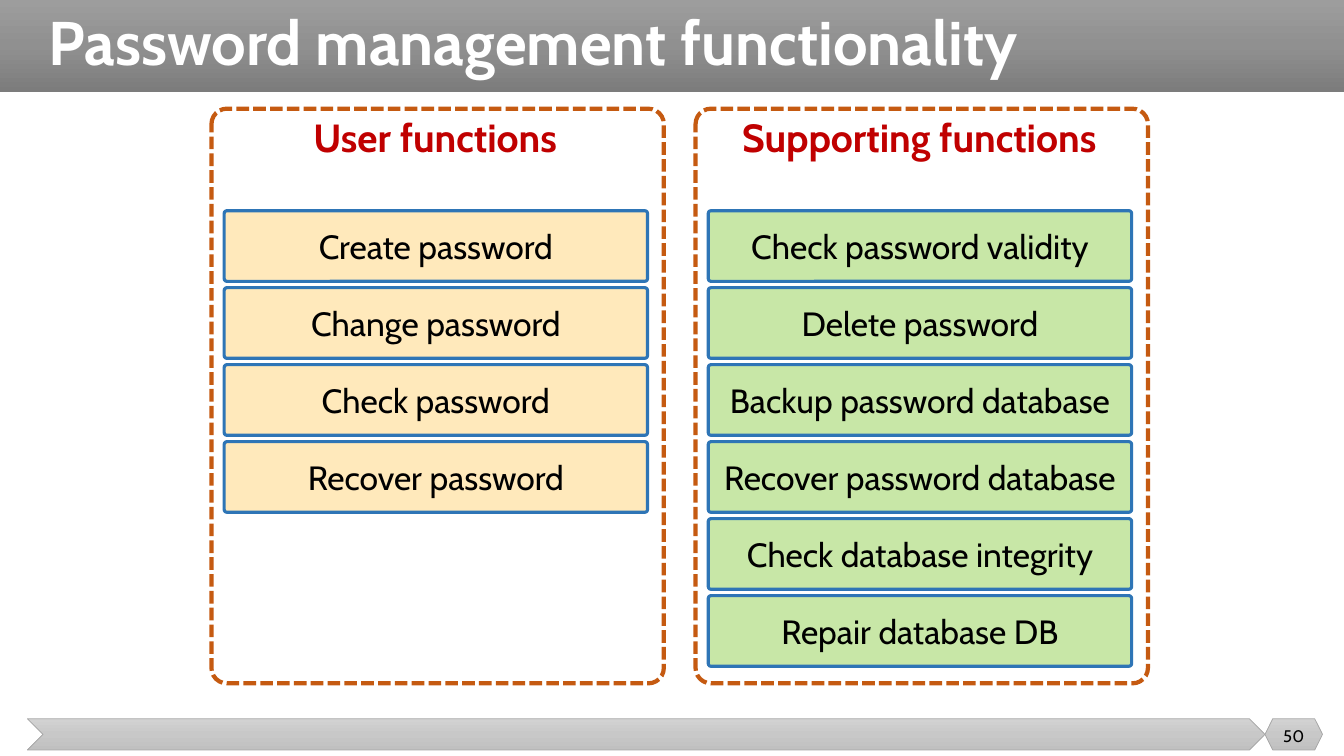
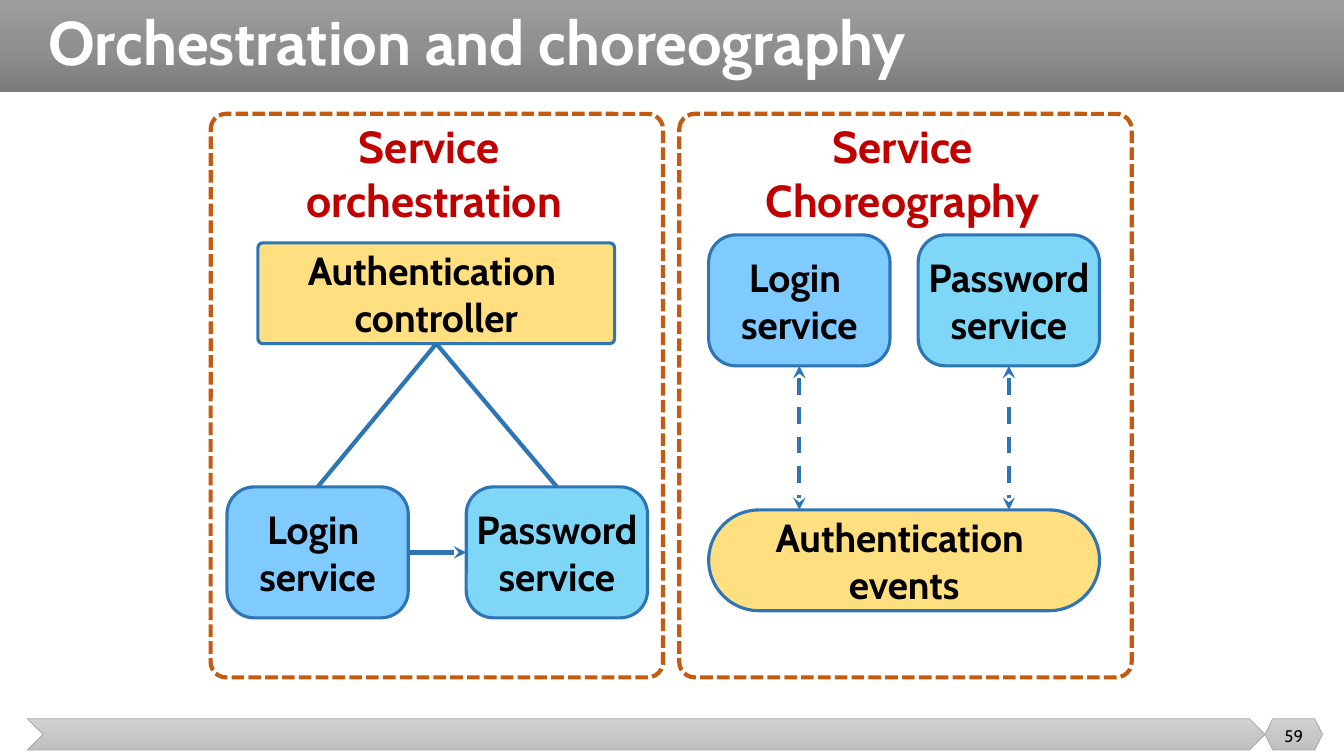
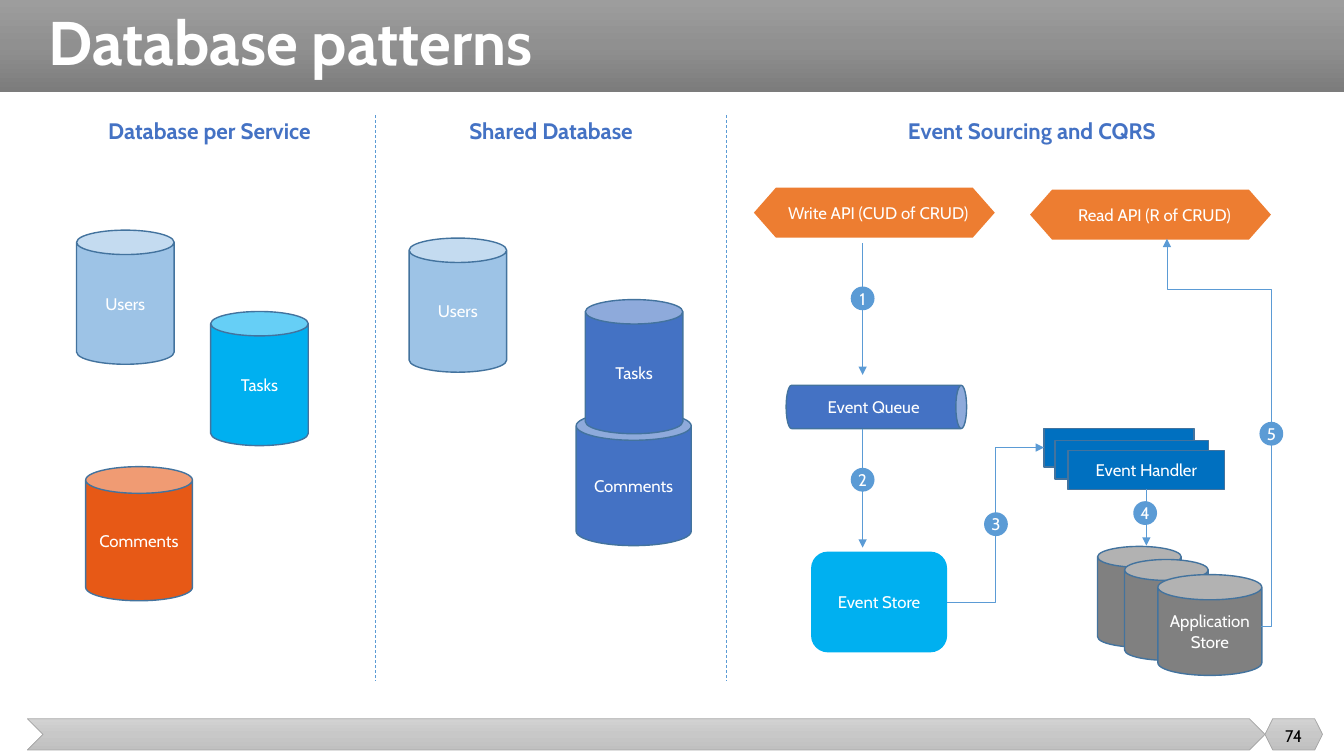
"""Build three slides on password services and database patterns."""
from copy import deepcopy
from dataclasses import dataclass

from lxml import etree
from pptx import Presentation
from pptx import util as u
from pptx.dml.color import RGBColor
from pptx.enum import dml, shapes, text
from pptx.oxml.ns import qn

SHAPE = shapes.MSO_SHAPE
LINE = shapes.MSO_CONNECTOR.STRAIGHT
ELBOW = shapes.MSO_CONNECTOR.ELBOW
TOP, LEFT, BOTTOM, RIGHT = range(4)


@dataclass(frozen=True)
class Theme:
    """Colours, font and type sizes shared by all slides."""
    font: str = "Cabin"
    white: str = "FFFFFF"
    black: str = "000000"
    band: tuple = ("9D9D9D", "909090", "7C7C7C")
    footer: tuple = ("D2D2D2", "C8C8C8", "C0C0C0")
    footer_line: str = "A5A5A5"
    panel_line: str = "C55A11"
    panel_heading: str = "C00000"
    box_line: str = "2E75B6"
    user: str = "FFD579"
    support: str = "92D050"
    login: str = "0096FF"
    password: str = "00B0F0"
    authentication: str = "FFC000"
    heading: str = "4472C4"
    flow: str = "5B9BD5"
    outline: str = "43739E"
    pale_blue: str = "9DC3E6"
    cyan: str = "00B0F0"
    red: str = "E75916"
    blue: str = "4472C4"
    api: str = "ED7D31"
    handler: str = "0070C0"
    grey: str = "808080"
    title_size: int = 44
    large_heading_size: int = 32
    panel_size: int = 28
    row_size: int = 24
    heading_size: int = 16
    label_size: int = 12


@dataclass(frozen=True)
class Box:
    """A rectangle in centimetres."""
    left: float
    top: float
    width: float
    height: float

    def inside(self, left, top, width, height):
        """Return a box placed relative to this one."""
        return Box(self.left + left, self.top + top, width, height)

    def point(self, left, top):
        """Return a point placed relative to this box."""
        return self.left + left, self.top + top

    def lengths(self):
        """Return the four measures as lengths."""
        return [u.Cm(value) for value in (self.left, self.top, self.width, self.height)]


THEME = Theme()
PAGE = Box(0, 0, 33.87, 19.05)
TITLE = Box(0.97, 0, 32.36, 2.31)


def rgb(colour):
    """Return a colour object for a hex string."""
    return RGBColor.from_string(colour)


def write(shape, words, size, colour, bold=False, align=text.PP_ALIGN.CENTER,
          spacing=None, insets=None, wrap=True):
    """Set the text of a shape and format its runs."""
    frame = shape.text_frame
    frame.text = words
    frame.word_wrap = wrap
    if insets is not None:
        frame.margin_left, frame.margin_top, frame.margin_right, frame.margin_bottom = (
            u.Cm(inset) for inset in insets)
    for paragraph in frame.paragraphs:
        paragraph.alignment = align
        paragraph.line_spacing = spacing
        for run in paragraph.runs:
            run.font.name = THEME.font
            run.font.size = u.Pt(size)
            run.font.bold = bold
            run.font.color.rgb = rgb(colour)


def add_text(slide, box, words, size, colour, **options):
    """Add a text box."""
    shape = slide.shapes.add_textbox(*box.lengths())
    write(shape, words, size, colour, **options)
    return shape


def add_shape(slide, kind, box, fill=None, line=None, width=1, corner=None):
    """Add a preset shape with a plain fill and line."""
    shape = slide.shapes.add_shape(kind, *box.lengths())
    shape.shadow.inherit = False
    if corner is not None:
        shape.adjustments[0] = corner
    if fill:
        shape.fill.solid()
        shape.fill.fore_color.rgb = rgb(fill)
    else:
        shape.fill.background()
    if line:
        shape.line.color.rgb = rgb(line)
        shape.line.width = u.Pt(width)
    else:
        shape.line.fill.background()
    return shape


def add_connector(slide, kind, begin, end, colour, width, dash=None, head=None, tail=None):
    """Add a line between two points, with optional arrowheads."""
    connector = slide.shapes.add_connector(kind, *(u.Cm(value) for value in begin + end))
    connector.line.color.rgb = rgb(colour)
    connector.line.width = u.Pt(width)
    if dash:
        connector.line.dash_style = dash
    properties = connector._element.spPr
    for tag, arrow in (("a:headEnd", head), ("a:tailEnd", tail)):
        if arrow:
            etree.SubElement(properties.find(qn("a:ln")), qn(tag), type=arrow)
    etree.SubElement(properties, qn("a:effectLst"))
    return connector


def shade(shape, colours):
    """Fill a shape with a vertical three-colour gradient."""
    shape.fill.gradient()
    shape.fill.gradient_angle = 270
    first = shape.fill._fill._gradFill.find(qn("a:gsLst"))[0]
    first.addnext(deepcopy(first))
    for stop, position, colour in zip(shape.fill.gradient_stops, (0, 0.5, 1), colours):
        stop.position = position
        stop.color.rgb = rgb(colour)


def build_layout(layout, slide):
    """Move the title band and footer bar, drawn on a slide, to its layout."""
    parts = (
        (SHAPE.RECTANGLE, Box(0, 0, PAGE.width, TITLE.height), THEME.band, None),
        (SHAPE.CHEVRON, Box(0.69, 18.11, 31.19, 0.79), THEME.footer, THEME.footer_line),
        (SHAPE.HEXAGON, Box(31.88, 18.11, 1.45, 0.79), THEME.footer, THEME.footer_line),
    )
    for index, (kind, box, colours, line) in enumerate(parts):
        shape = add_shape(slide, kind, box, line=line, width=0.5)
        shade(shape, colours)
        layout.shapes._spTree.insert(2 + index, shape._element)


def add_slide(presentation, layout, title, number):
    """Add a slide with its title and page number."""
    slide = presentation.slides.add_slide(layout)
    holder = slide.shapes.title
    holder.left, holder.top, holder.width, holder.height = TITLE.lengths()
    write(holder, title, THEME.title_size, THEME.white, bold=True,
          align=text.PP_ALIGN.LEFT, spacing=0.9)
    holder.text_frame.vertical_anchor = text.MSO_ANCHOR.MIDDLE
    holder.text_frame.auto_size = text.MSO_AUTO_SIZE.NONE
    page = add_text(slide, Box(31.88, 18.03, 1.45, 1.02), number,
                    THEME.label_size, THEME.black)
    page.text_frame.vertical_anchor = text.MSO_ANCHOR.MIDDLE
    return slide


def add_panel(slide, box, heading, size):
    """Add a dashed panel with a heading at its top."""
    panel = add_shape(slide, SHAPE.ROUNDED_RECTANGLE, box, line=THEME.panel_line,
                      width=3, corner=0.034)
    panel.line.dash_style = dml.MSO_LINE.SQUARE_DOT
    add_text(slide, box.inside(0.3, 0, 10.67, 1.45), heading, size,
             THEME.panel_heading, bold=True)


def add_block(slide, box, words, fill, corner, size=THEME.panel_size, bold=True):
    """Add a half-transparent rounded block with a label."""
    block = add_shape(slide, SHAPE.ROUNDED_RECTANGLE, box, fill, THEME.box_line, 2.25, corner)
    colour = block._element.spPr.find(qn("a:solidFill"))[0]
    etree.SubElement(colour, qn("a:alpha"), val="50000")
    write(block, words, size, THEME.black, bold=bold, insets=(0, 0, 0, 0), wrap=False)
    return block


def add_functions(slide, box, heading, functions, fill):
    """Add a panel with a stack of functions."""
    add_panel(slide, box, heading, THEME.panel_size)
    for index, words in enumerate(functions):
        add_block(slide, box.inside(0.32, 2.57 + 1.94 * index, 10.67, 1.78), words, fill,
                  corner=0.039, size=THEME.row_size, bold=False)


def add_services(slide, box, gap):
    """Add the login and password services side by side."""
    services = (("Login \vservice", THEME.login), ("Password\nservice", THEME.password))
    width = (box.width - gap) / 2
    return [add_block(slide, box.inside(index * (width + gap), 0, width, box.height),
                      words, fill, corner=0.209)
            for index, (words, fill) in enumerate(services)]


def add_orchestration(slide, box):
    """Add the panel in which a controller drives both services."""
    add_panel(slide, box, "Service \vorchestration", THEME.large_heading_size)
    login, password = add_services(slide, box.inside(0.41, 9.4, 10.6, 3.3), gap=1.46)
    controller = add_block(slide, box.inside(1.19, 3.25, 8.99, 2.54),
                           "Authentication \vcontroller", THEME.authentication, corner=0.049)
    links = ((login, RIGHT, password, LEFT, "stealth"),
             (login, TOP, controller, BOTTOM, None),
             (password, TOP, controller, BOTTOM, None))
    for source, start, target, finish, tail in links:
        connector = add_connector(slide, LINE, (0, 0), (1, 1), THEME.box_line, 3, tail=tail)
        connector.begin_connect(source, start)
        connector.end_connect(target, finish)


def add_choreography(slide, box):
    """Add the panel in which both services exchange events."""
    add_panel(slide, box, "Service Choreography", THEME.large_heading_size)
    services = add_services(slide, box.inside(0.74, 3.05, 9.85, 3.3), gap=0.71)
    add_block(slide, box.inside(0.74, 9.98, 9.85, 2.54), "Authentication \vevents",
              THEME.authentication, corner=0.5)
    for service in services:
        middle = u.Length(service.left + service.width // 2).cm
        connector = add_connector(slide, LINE, (middle, box.top + 6.35),
                                  (middle, box.top + 9.98), THEME.box_line, 3,
                                  dml.MSO_LINE.DASH, "stealth", "stealth")
        connector.begin_connect(service, BOTTOM)


def add_label_shape(slide, kind, box, fill, words="", line=None, **options):
    """Add a shape with a small white label."""
    shape = add_shape(slide, kind, box, fill, line)
    if words:
        write(shape, words, THEME.label_size, THEME.white, **options)
    return shape


def add_heading(slide, box, words):
    """Add the heading of a database pattern."""
    add_text(slide, box.inside(0, 0, box.width, 1.17), words, THEME.heading_size,
             THEME.heading, bold=True, spacing=0.9)


def add_databases(slide, box, heading, databases):
    """Add a pattern made of labelled databases."""
    add_heading(slide, box, heading)
    for words, left, top, width, fill in databases:
        add_label_shape(slide, SHAPE.CAN, box.inside(left, top, width, 3.38), fill, words,
                        THEME.outline)


def add_flow(slide, box, kind, begin, end):
    """Add a thin arrow between two points of a box."""
    return add_connector(slide, kind, box.point(*begin), box.point(*end), THEME.flow, 0.5,
                         tail="triangle")


def add_event_sourcing(slide, box):
    """Add the event sourcing flow with its five numbered steps."""
    add_heading(slide, box, "Event Sourcing and CQRS")
    for words, left, top in (("Write API (CUD of CRUD)", 0.69, 1.83),
                             ("Read API (R of CRUD)", 7.65, 1.88)):
        add_label_shape(slide, SHAPE.HEXAGON, box.inside(left, top, 6.07, 1.26), THEME.api,
                        words, insets=(0.2, 0, 0, 0), wrap=False).adjustments[0] = 0.44

    queue = add_label_shape(slide, SHAPE.CAN, box.inside(3.23, 5.08, 1.09, 4.55), THEME.blue,
                            "Event Queue", THEME.outline)
    queue.rotation = 90
    queue.text_frame._txBody.bodyPr.set("vert", "vert270")
    add_label_shape(slide, SHAPE.ROUNDED_RECTANGLE, box.inside(2.13, 11, 3.43, 2.54),
                    THEME.cyan, "Event Store")

    for words, left, top, width in (("", 9.35, 10.87, 2.11), ("", 10.03, 11.2, 2.11),
                                    ("Application Store", 10.87, 11.58, 2.62)):
        add_label_shape(slide, SHAPE.CAN, box.inside(left, top, width, 2.54), THEME.grey,
                        words, THEME.outline)
    for words, left, top, width in (("", 8, 7.9, 3.78), ("", 8.28, 8.2, 3.86),
                                    ("Event Handler", 8.61, 8.46, 3.94)):
        handler = add_label_shape(slide, SHAPE.RECTANGLE, box.inside(left, top, width, 0.97),
                                  THEME.handler, words, THEME.outline)

    add_flow(slide, box, LINE, (3.43, 3.23), (3.43, 6.55))
    add_flow(slide, box, LINE, (3.43, 7.9), (3.43, 10.9))
    add_flow(slide, box, ELBOW, (5.56, 12.27), (8, 8.38))
    add_flow(slide, box, LINE, (10.58, 9.43), (10.58, 10.85)).begin_connect(handler, BOTTOM)
    read = add_flow(slide, box, ELBOW, (13.46, 12.88), (11.1, 3.12))
    geometry = read._element.spPr.find(qn("a:prstGeom"))
    geometry.set("prst", "bentConnector4")
    for name, value in (("adj1", -11600), ("adj2", 87000)):
        etree.SubElement(geometry.find(qn("a:avLst")), qn("a:gd"), name=name,
                         fmla=f"val {value}")

    steps = ((3.43, 4.62), (3.43, 9.19), (6.79, 10.31), (10.55, 10.03), (13.73, 8.03))
    for number, (x, y) in enumerate(steps, 1):
        add_label_shape(slide, SHAPE.OVAL, box.inside(x - 0.3, y - 0.3, 0.6, 0.6), THEME.flow,
                        str(number), insets=(0, 0, 0, 0), wrap=False)


def fill_password_slide(slide):
    """Place the two function panels."""
    add_functions(slide, Box(5.33, 2.74, 11.4, 14.48), "User functions",
                  ("Create password", "Change password", "Check password",
                   "Recover password"), THEME.user)
    add_functions(slide, Box(17.53, 2.74, 11.4, 14.48), "Supporting functions",
                  ("Check password validity", "Delete password", "Backup password database",
                   "Recover password database", "Check database integrity",
                   "Repair database DB"), THEME.support)


def fill_service_slide(slide):
    """Place the orchestration and choreography panels."""
    add_orchestration(slide, Box(5.31, 2.87, 11.4, 14.2))
    add_choreography(slide, Box(17.12, 2.87, 11.4, 14.2))


def fill_database_slide(slide):
    """Place the three database patterns and the dividers between them."""
    separate = Box(0.86, 2.9, 8.84, 14.25)
    shared = Box(9.47, 2.9, 8.84, 14.25)
    events = Box(18.31, 2.9, 15.39, 14.25)
    add_databases(slide, separate, "Database per Service", (
        ("Users", 1.07, 2.9, 2.46, THEME.pale_blue),
        ("Tasks", 4.45, 4.95, 2.46, THEME.cyan),
        ("Comments", 1.3, 8.86, 2.69, THEME.red)))
    add_databases(slide, shared, "Shared Database", (
        ("Users", 0.84, 3.1, 2.46, THEME.pale_blue),
        ("Comments", 5.05, 7.47, 2.9, THEME.blue),
        ("Tasks", 5.28, 4.65, 2.46, THEME.blue)))
    add_event_sourcing(slide, events)
    for box in (shared, events):
        add_connector(slide, LINE, box.point(0, 0), box.point(0, box.height), THEME.flow, 0.5,
                      dml.MSO_LINE.DASH)


def main():
    """Build and save the presentation."""
    presentation = Presentation()
    presentation.slide_width, presentation.slide_height = PAGE.lengths()[2:]
    layout = presentation.slide_layouts.get_by_name("Title Only")
    pages = (("Password management functionality", "50", fill_password_slide),
             ("Orchestration and choreography", "59", fill_service_slide),
             ("Database patterns", "74", fill_database_slide))
    for title, number, fill_slide in pages:
        fill_slide(add_slide(presentation, layout, title, number))
    build_layout(layout, presentation.slides[0])
    presentation.save("out.pptx")


if __name__ == "__main__":
    main()
